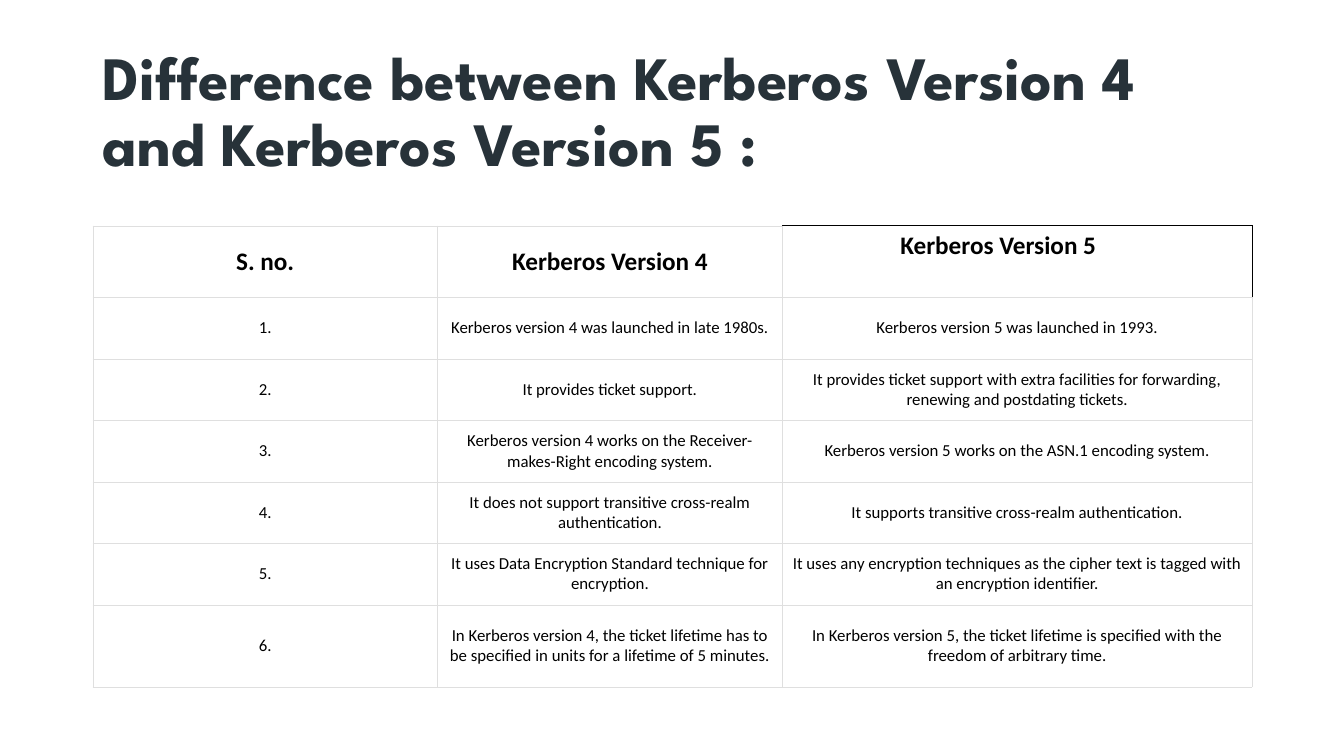
"""Build a slide that compares Kerberos version 4 and version 5 in a table."""
from lxml.etree import SubElement
from pptx import Presentation
from pptx.dml.color import RGBColor as Color
from pptx.enum.text import MSO_ANCHOR as Anchor, MSO_AUTO_SIZE as AutoSize, PP_ALIGN as Align
from pptx.oxml.ns import qn
from pptx.util import Inches, Pt

COLORS = {"title": "273239", "text": "000000", "cell": "FFFFFF", "grid": "DFDFDF", "edge": "000000"}
COLUMN_WIDTHS = [3.42, 3.42, 4.66]
ROW_HEIGHTS = [0.71] + [0.61] * 5 + [0.82]
LEFT, WIDTH = 0.92, 11.5
HEADINGS = ("S. no.", "Kerberos Version 4", "Kerberos Version 5")
DIFFERENCES = [
    ("Kerberos version 4 was launched in late 1980s.",
     "Kerberos version 5 was launched in 1993."),
    ("It provides ticket support.",
     "It provides ticket support with extra facilities for forwarding, renewing and postdating tickets."),
    ("Kerberos version 4 works on the Receiver-makes-Right encoding system.",
     "Kerberos version 5 works on the ASN.1 encoding system."),
    ("It does not support transitive cross-realm authentication.",
     "It supports transitive cross-realm authentication."),
    ("It uses Data Encryption Standard technique for encryption.",
     "It uses any encryption techniques as the cipher text is tagged with an encryption identifier."),
    ("In Kerberos version 4, the ticket lifetime has to be specified in units for a lifetime of 5 minutes.",
     "In Kerberos version 5, the ticket lifetime is specified with the freedom of arbitrary time."),
]


def style_text(para, font_name, size, bold, color):
    """Set the font of a paragraph."""
    font = para.font
    font.name, font.size, font.bold = font_name, Pt(size), bold
    font.color.rgb = Color.from_string(COLORS[color])


def add_border(cell, side, color, width):
    """Draw one side (L, R, T or B) of a cell."""
    line = SubElement(cell._tc.get_or_add_tcPr(), qn(f"a:ln{side}"), w=str(Pt(width)))
    fill = SubElement(line, qn("a:solidFill"))
    SubElement(fill, qn("a:srgbClr"), val=COLORS[color])


deck = Presentation()
deck.slide_width, deck.slide_height = Inches(13.33), Inches(7.5)
page = deck.slides.add_slide(deck.slide_layouts[5])

title = page.shapes.title
title.left, title.top, title.width, title.height = map(Inches, (LEFT, 0.4, WIDTH, 1.45))
frame = title.text_frame
frame.text = "Difference between Kerberos Version 4 and Kerberos Version 5 :"
frame.word_wrap, frame.auto_size = True, AutoSize.NONE
frame.vertical_anchor = Anchor.MIDDLE
heading = frame.paragraphs[0]
heading.alignment, heading.line_spacing = Align.LEFT, 0.9
style_text(heading, "League Spartan", 44, True, "title")

rows = [HEADINGS] + [(f"{number}.", *pair) for number, pair in enumerate(DIFFERENCES, 1)]
table = page.shapes.add_table(len(rows), len(HEADINGS), Inches(LEFT), Inches(2.24),
                              Inches(WIDTH), Inches(sum(ROW_HEIGHTS))).table
table.first_row = table.horz_banding = False
for column, width in zip(table.columns, COLUMN_WIDTHS):
    column.width = Inches(width)

for row_index, (texts, height) in enumerate(zip(rows, ROW_HEIGHTS)):
    table.rows[row_index].height = Inches(height)
    is_header = row_index == 0
    for column_index, text in enumerate(texts):
        cell = table.cell(row_index, column_index)
        is_corner = is_header and column_index == len(HEADINGS) - 1
        for side in "LRTB":
            if is_corner and side in "RT":
                add_border(cell, side, "edge", 1)
            else:
                add_border(cell, side, "grid", 0.15)
        cell.fill.solid()
        cell.fill.fore_color.rgb = Color.from_string(COLORS["cell"])
        cell.text = text
        para = cell.text_frame.paragraphs[0]
        style_text(para, "Calibri", 18 if is_header else 12, is_header, "text")
        if is_corner:
            para.alignment = Align.LEFT
            cell.margin_left, cell.vertical_anchor = Inches(1.17), Anchor.TOP
        else:
            para.alignment = Align.CENTER
            cell.vertical_anchor = Anchor.MIDDLE
            cell.margin_left = cell.margin_right = Inches(0.07)
            cell.margin_top = cell.margin_bottom = Inches(0.07 if is_header else 0.1)

deck.save("out.pptx")
